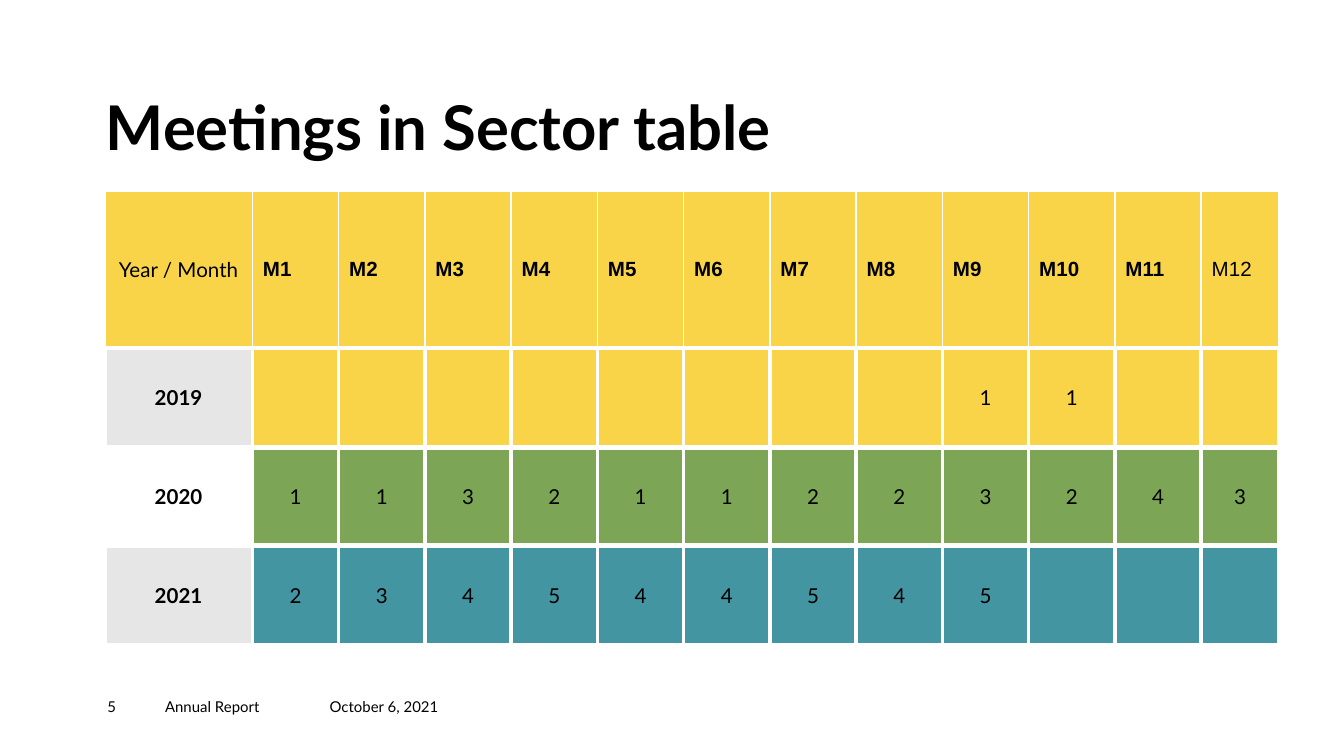
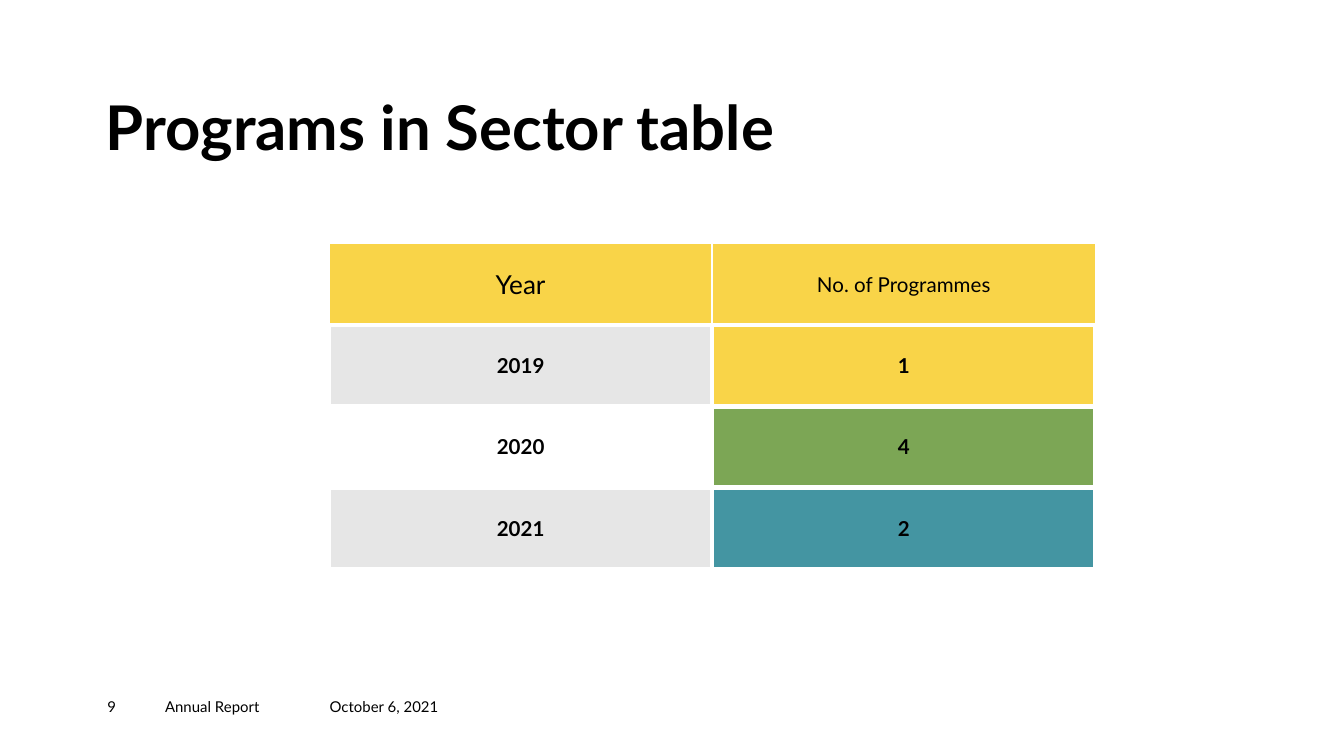
from dataclasses import dataclass

from lxml.etree import SubElement
from pptx import Presentation
from pptx.dml.color import RGBColor
from pptx.enum.text import MSO_ANCHOR, MSO_AUTO_SIZE, PP_ALIGN
from pptx.oxml.ns import qn
from pptx.util import Cm, Pt


@dataclass(frozen=True)
class Theme:
    font: str = "Lato"
    month_font: str = "Arial"
    text: str = "000000"
    line: str = "FFFFFF"
    header: str = "F9D448"
    label_fills: tuple = ("E6E6E6", "FFFFFF", "E6E6E6")
    value_fills: tuple = ("F9D448", "7CA655", "4495A2")
    title_size: float = 33
    large_size: float = 14
    table_size: float = 11
    footer_size: float = 8
    thin: float = 1
    medium: float = 2.25
    thick: float = 3


theme = Theme()


def write(text_frame, text, size=theme.table_size, font=theme.font, bold=False,
          align=PP_ALIGN.LEFT, line_spacing=1.0):
    paragraph = text_frame.paragraphs[0]
    paragraph.alignment = align
    paragraph.line_spacing = line_spacing
    run = paragraph.add_run()
    run.text = text
    run.font.size = Pt(size)
    run.font.name = font
    run.font.bold = bold
    run.font.color.rgb = RGBColor.from_string(theme.text)


def paint_cell(cell, fill, left, right, top, bottom):
    properties = cell._tc.get_or_add_tcPr()
    for side, width in zip("LRTB", (left, right, top, bottom)):
        line = SubElement(properties, qn(f"a:ln{side}"), w=str(Pt(width)))
        solid = SubElement(line, qn("a:solidFill"))
        SubElement(solid, qn("a:srgbClr"), val=theme.line)
    cell.fill.solid()
    cell.fill.fore_color.rgb = RGBColor.from_string(fill)


months = [f"M{month}" for month in range(1, 13)]
slides = [
    {
        "title": "Meetings in Sector table",
        "number": "5",
        "position": (1.98, 3.61),
        "columns": [2.79] + [1.63] * 11 + [1.47],
        "rows": [2.97] + [1.87] * 3,
        "header": ["Year / Month"] + months,
        "header_formats": [{"align": PP_ALIGN.CENTER}]
        + [{"font": theme.month_font, "bold": month != "M12"} for month in months],
        "values_bold": False,
        "right_border": theme.medium,
        "data": {
            "2019": [""] * 8 + ["1", "1", "", ""],
            "2020": list("113211223243"),
            "2021": list("234544545") + [""] * 3,
        },
    },
    {
        "title": "Programs in Sector table",
        "number": "9",
        "position": (6.22, 4.6),
        "columns": [7.24] * 2,
        "rows": [1.54] * 4,
        "header": ["Year", "No. of Programmes"],
        "header_formats": [
            {"align": PP_ALIGN.CENTER, "size": theme.large_size},
            {"align": PP_ALIGN.CENTER},
        ],
        "values_bold": True,
        "right_border": theme.thick,
        "data": {"2019": ["1"], "2020": ["4"], "2021": ["2"]},
    },
]

presentation = Presentation()
presentation.slide_width = Cm(25.4)
presentation.slide_height = Cm(14.29)
title_only = presentation.slide_layouts[5]

for content in slides:
    slide = presentation.slides.add_slide(title_only)

    title = slide.shapes.title
    title.left, title.top, title.width, title.height = Cm(2), Cm(1.83), Cm(15.75), Cm(1.27)
    write(title.text_frame, content["title"], size=theme.title_size, bold=True, line_spacing=0.9)
    title.text_frame.vertical_anchor = MSO_ANCHOR.BOTTOM
    text_frames = [title.text_frame]

    left, top = content["position"]
    columns, rows = content["columns"], content["rows"]
    table = slide.shapes.add_table(
        len(rows), len(columns), Cm(left), Cm(top), Cm(sum(columns)), Cm(sum(rows))
    ).table
    for column, width in zip(table.columns, columns):
        column.width = Cm(width)
    for row, height in zip(table.rows, rows):
        row.height = Cm(height)

    for index, (text, text_format) in enumerate(zip(content["header"], content["header_formats"])):
        cell = table.cell(0, index)
        write(cell.text_frame, text, **text_format)
        paint_cell(cell, theme.header, theme.thin, theme.thin, theme.thin, theme.medium)

    last_row = len(content["data"])
    for row_index, (year, values) in enumerate(content["data"].items(), start=1):
        label = table.cell(row_index, 0)
        write(label.text_frame, year, bold=True, align=PP_ALIGN.CENTER)
        paint_cell(label, theme.label_fills[row_index - 1], *[theme.medium] * 4)
        upper = theme.medium if row_index == 1 else theme.thick
        lower = theme.medium if row_index == last_row else theme.thick
        for column_index, value in enumerate(values, start=1):
            cell = table.cell(row_index, column_index)
            if value:
                write(cell.text_frame, value, bold=content["values_bold"], align=PP_ALIGN.CENTER)
            paint_cell(cell, theme.value_fills[row_index - 1],
                       theme.medium, content["right_border"], upper, lower)

    for cell in table.iter_cells():
        cell.vertical_anchor = MSO_ANCHOR.MIDDLE
        cell.margin_left = cell.margin_right = Cm(0.2)
        cell.margin_top = cell.margin_bottom = Cm(0.1)

    for text, left, width in (
        (content["number"], 2.03, 1.09),
        ("Annual Report", 3.12, 3.12),
        ("October 6, 2021", 6.23, 2.74),
    ):
        footer = slide.shapes.add_textbox(Cm(left), Cm(13.18), Cm(width), Cm(0.51))
        write(footer.text_frame, text, size=theme.footer_size)
        text_frames.append(footer.text_frame)

    for text_frame in text_frames:
        text_frame.word_wrap = True
        text_frame.auto_size = MSO_AUTO_SIZE.NONE
        text_frame.margin_left = text_frame.margin_right = 0
        text_frame.margin_top = text_frame.margin_bottom = 0

presentation.save("out.pptx")
